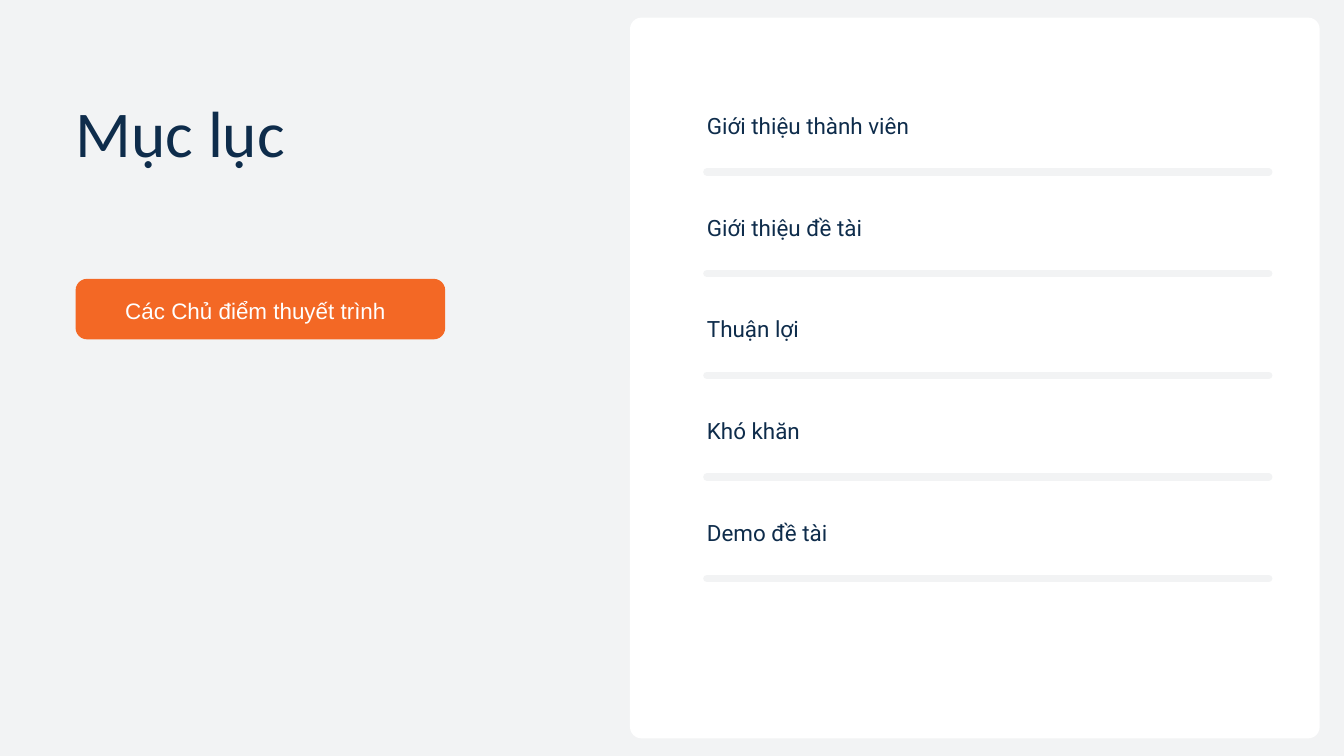
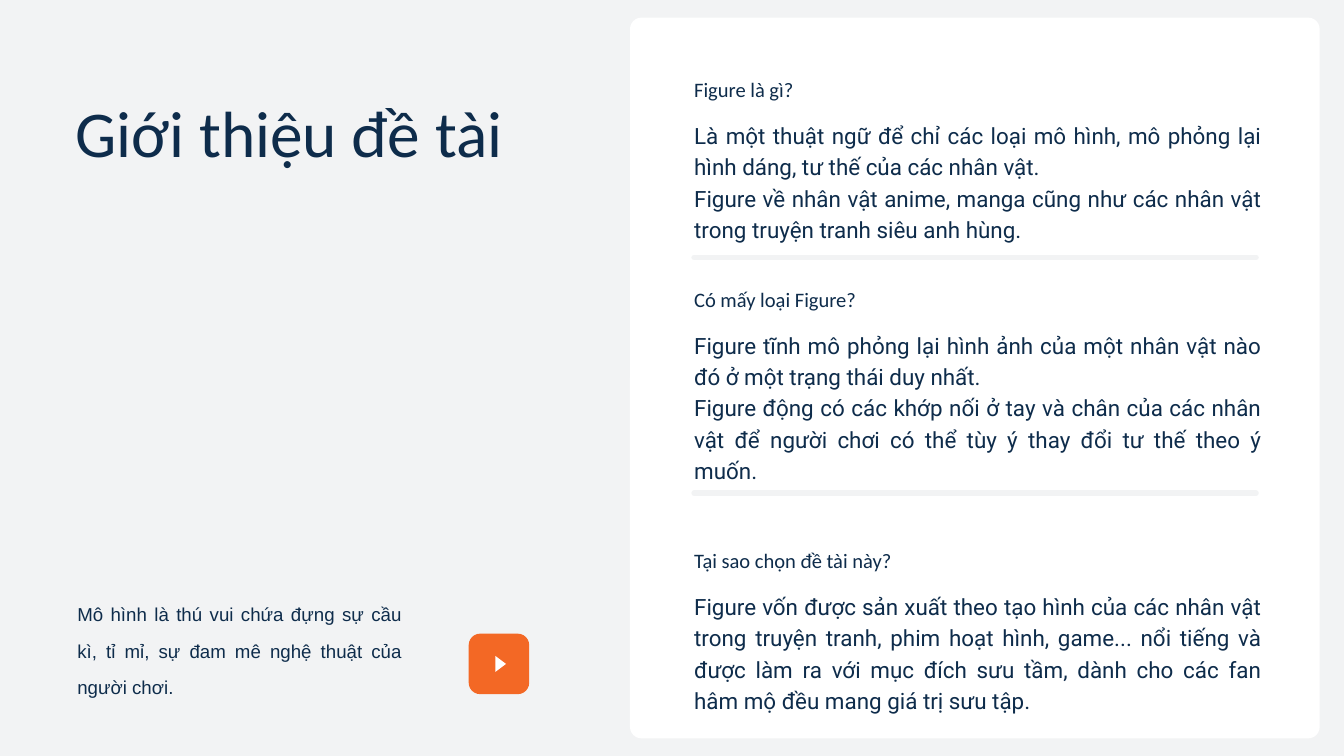
from dataclasses import dataclass
from lxml.etree import SubElement
from pptx import Presentation
from pptx.dml.color import RGBColor as RGB
from pptx.enum.shapes import MSO_CONNECTOR as Link, MSO_SHAPE as Form
from pptx.enum.text import MSO_AUTO_SIZE as Fit, PP_ALIGN as Align
from pptx.oxml.ns import qn
from pptx.util import Inches, Pt

CELL = 0.25  # the slide is 80 columns by 45 rows


@dataclass(frozen=True)
class Style:
    font: str
    size: float
    lead: float
    ink: str = "0E2C4B"
    align: Align = Align.LEFT


class Theme:
    back, panel, accent = "F2F3F4", "FFFFFF", "F36825"
    round = 0.68
    title = Style("Calibri", 70, 84)
    head = Style("Calibri", 22, 30.8)
    item = Style("Roboto", 24, 33.6)
    body = Style("Roboto", 24, 33.6, align=Align.JUSTIFY)
    note = Style("Arial", 20, 39.2, align=Align.JUSTIFY)
    label = Style("Arial", 24, 33.6, "FFFFFF", Align.CENTER)


def grid(*cells):
    return [Inches(n * CELL) for n in cells]


class Deck:
    """Holds the theme and the current slide; lengths are in grid cells."""

    def __init__(self, theme):
        self.theme = theme
        self.file = Presentation()
        self.file.slide_width, self.file.slide_height = grid(80, 45)
        self.slide = None

    def page(self, title, high):
        """Start a slide with its white panel and large title."""
        self.slide = self.file.slides.add_slide(self.file.slide_layouts[6])
        fill = self.slide.background.fill
        fill.solid()
        fill.fore_color.rgb = RGB.from_string(self.theme.back)
        self.card(37.5, 1.05, 41.05, 42.9, self.theme.panel)
        self.text(4.5, 5.48, 27, high, self.theme.title, title)

    def shape(self, form, x, y, w, h, color):
        item = self.slide.shapes.add_shape(form, *grid(x, y, w, h))
        item.shadow.inherit = False
        item.fill.solid()
        item.fill.fore_color.rgb = RGB.from_string(color)
        item.line.fill.background()
        return item

    def card(self, x, y, w, h, color):
        item = self.shape(Form.ROUNDED_RECTANGLE, x, y, w, h, color)
        item.adjustments[0] = self.theme.round / min(w, h)

    def play(self, x, y, w, h):
        """Draw a triangle that points right."""
        item = self.shape(Form.ISOSCELES_TRIANGLE, x, y, w, h, self.theme.panel)
        item.rotation = 90

    def rule(self, x, y, w, weight):
        """Draw a level line with round ends."""
        item = self.slide.shapes.add_connector(Link.STRAIGHT, *grid(x, y, x + w, y))
        item.line.color.rgb = RGB.from_string(self.theme.back)
        item.line.width = Pt(weight)
        props = item.element.spPr
        props.find(qn("a:ln")).set("cap", "rnd")
        SubElement(props, qn("a:effectLst"))

    def text(self, x, y, w, h, style, *lines):
        frame = self.slide.shapes.add_textbox(*grid(x, y, w, h)).text_frame
        frame.margin_left = frame.margin_right = 0
        frame.margin_top = frame.margin_bottom = 0
        frame.word_wrap = True
        frame.auto_size = Fit.SHAPE_TO_FIT_TEXT
        frame.text = "\n".join(lines)
        for para in frame.paragraphs:
            para.alignment = style.align
            para.line_spacing = Pt(style.lead)
            para.font.name = style.font
            para.font.size = Pt(style.size)
            para.font.color.rgb = RGB.from_string(style.ink)


def agenda(deck):
    theme = deck.theme
    deck.page("Mục lục", 4.68)
    topics = ("Giới thiệu thành viên", "Giới thiệu đề tài", "Thuận lợi",
              "Khó khăn", "Demo đề tài")
    left, top, step = 42.08, 6.42, 6.05
    for i, topic in enumerate(topics):
        y = top + i * step
        deck.rule(left, y + 3.82, 33.44, 8)
        deck.text(left, y, 30, 1.76, theme.item, topic)
    deck.card(4.5, 16.6, 22, 3.6, theme.accent)
    deck.text(5.32, 17.4, 19.76, 1.8, theme.label, "Các Chủ điểm thuyết trình")


def intro(deck):
    theme = deck.theme
    deck.page("Giới thiệu đề tài", 9.44)
    left, wide = 41.32, 33.76
    for y in (15.32, 29.36):
        deck.rule(left, y, 33.44, 6)
    parts = (
        (4.36, 9.4, "Figure là gì?",
         ("Là một thuật ngữ để chỉ các loại mô hình, mô phỏng lại hình dáng, "
          "tư thế của các nhân vật.",
          "Figure về nhân vật anime, manga cũng như các nhân vật trong truyện "
          "tranh siêu anh hùng.")),
        (16.84, 9.4, "Có mấy loại Figure?",
         ("Figure tĩnh mô phỏng lại hình ảnh của một nhân vật nào đó ở một "
          "trạng thái duy nhất.",
          "Figure động có các khớp nối ở tay và chân của các nhân vật để người "
          "chơi có thể tùy ý thay đổi tư thế theo ý muốn.")),
        (32.4, 7.48, "Tại sao chọn đề tài này?",
         ("Figure vốn được sản xuất theo tạo hình của các nhân vật trong truyện "
          "tranh, phim hoạt hình, game... nổi tiếng và được làm ra với mục đích "
          "sưu tầm, dành cho các fan hâm mộ đều mang giá trị sưu tập.",)),
    )
    for y, high, head, lines in parts:
        deck.text(left, y, wide, 1.6, theme.head, head)
        deck.text(left, y + 2.64, wide, high, theme.body, *lines)
    deck.text(4.6, 35.04, 19.32, 6.28, theme.note,
              "Mô hình là thú vui chứa đựng sự cầu kì, tỉ mỉ, sự đam mê "
              "nghệ thuật của người chơi.")
    deck.card(27.9, 37.72, 3.6, 3.6, theme.accent)
    deck.play(29.32, 39.2, 0.96, 0.64)


def main():
    deck = Deck(Theme)
    agenda(deck)
    intro(deck)
    deck.file.save("out.pptx")


if __name__ == "__main__":
    main()
